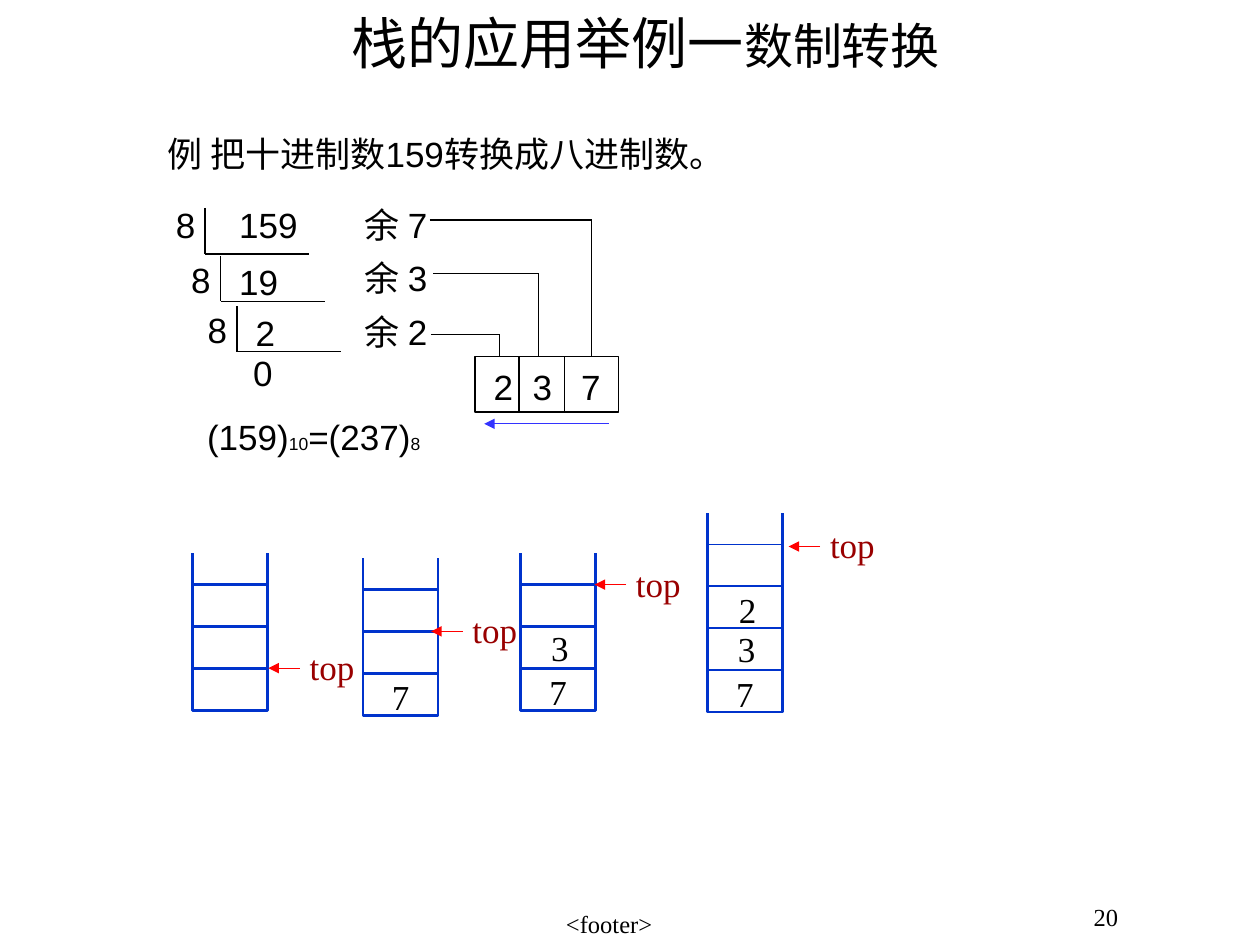
from dataclasses import dataclass

from lxml.etree import SubElement
from pptx import Presentation
from pptx.dml.color import RGBColor
from pptx.enum.shapes import MSO_CONNECTOR as Connector, MSO_SHAPE as Preset
from pptx.enum.text import MSO_ANCHOR as Anchor, MSO_AUTO_SIZE as AutoSize, PP_ALIGN as Align
from pptx.oxml.ns import qn
from pptx.shapes.autoshape import Shape
from pptx.slide import Slide
from pptx.util import Pt

BLACK = RGBColor(0x00, 0x00, 0x00)
WHITE = RGBColor(0xFF, 0xFF, 0xFF)
STACK_BLUE = RGBColor(0x00, 0x33, 0xCC)
ORDER_BLUE = RGBColor(0x33, 0x33, 0xFF)
POINTER_RED = RGBColor(0xFF, 0x00, 0x00)
TOP_RED = RGBColor(0x99, 0x00, 0x00)

SANS, SERIF, HAN = "Arial", "Times New Roman", "Noto Sans CJK SC"
LABEL_HEIGHT = 31.7
DIGIT_WIDTH = 26

RESULT_LEFT, RESULT_TOP, RESULT_WIDTH, RESULT_HEIGHT = 271.5, 203.8, 82, 31.7
CELL_WIDTH, CELL_HEIGHT, CELL_COUNT = 43, 24, 3
# Digit position from the stack's bottom-left corner, lowest digit first
DIGIT_OFFSETS = [(8.5, 26.6), (9.5, 52), (10, 74.4)]


@dataclass
class DivisionStep:
    dividend: str
    remainder: str
    dividend_left: float
    dividend_top: float
    dividend_width: float
    divisor_top: float
    bracket_left: float
    bracket_top: float
    bracket_bottom: float
    wire_left: float
    wire_right: float
    wire_top: float


@dataclass
class Stack:
    left: float
    bottom: float
    rail_top: float
    pointer_x: float
    pointer_y: float
    digits: str = ""


STEPS = [
    DivisionStep("159", "7", 129.6, 112.5, 52, 112.5, 117.2, 118.8, 145.2, 245.5, 338.2, 125.8),
    DivisionStep("19", "3", 129.6, 145.6, 40, 144, 126, 146.2, 172.1, 247.7, 307.6, 156.2),
    DivisionStep("2", "2", 139, 174.2, DIGIT_WIDTH, 172.8, 135.4, 175, 200.9, 246.2, 285.3, 191),
]
STACKS = [
    Stack(110, 406, 316, 153.4, 381.8),
    Stack(207.4, 409, 319, 246.4, 360.8, "7"),
    Stack(297.4, 406, 316, 339.8, 334.1, "73"),
    Stack(404.2, 406.8, 293, 450.7, 312.3, "732"),
]


def add_line(slide: Slide, start: tuple, end: tuple, color: RGBColor = BLACK,
             width: float = 0.75, arrow: bool = False) -> None:
    connector = slide.shapes.add_connector(Connector.STRAIGHT, *map(Pt, start + end))
    connector.line.color.rgb = color
    connector.line.width = Pt(width)
    properties = connector.element.spPr
    if arrow:
        SubElement(properties.find(qn("a:ln")), qn("a:tailEnd"), type="triangle")
    SubElement(properties, qn("a:effectLst"))


def add_text(slide: Slide, runs: list[tuple[str, float]], left: float, top: float,
             width: float, height: float = LABEL_HEIGHT, font: str = SANS,
             color: RGBColor = BLACK, align: Align = Align.LEFT,
             anchor: Anchor = Anchor.TOP) -> Shape:
    box = slide.shapes.add_textbox(Pt(left), Pt(top), Pt(width), Pt(height))
    frame = box.text_frame
    frame.word_wrap = True
    frame.auto_size = AutoSize.NONE
    frame.vertical_anchor = anchor
    paragraph = frame.paragraphs[0]
    paragraph.alignment = align
    paragraph.font.name = font
    paragraph.font.color.rgb = color
    paragraph.font.size = Pt(runs[0][1])
    for text, size in runs:
        run = paragraph.add_run()
        run.text = text
        if size != runs[0][1]:
            run.font.size = Pt(size)
    return box


def add_label(slide: Slide, text: str, left: float, top: float, width: float = DIGIT_WIDTH) -> None:
    add_text(slide, [(text, 20)], left, top, width)


def add_stack_label(slide: Slide, text: str, left: float, top: float,
                    width: float = DIGIT_WIDTH, color: RGBColor = BLACK) -> None:
    add_text(slide, [(text, 20)], left, top, width, font=SERIF, color=color,
             align=Align.CENTER, anchor=Anchor.MIDDLE)


def add_rectangle(slide: Slide, left: float, top: float, width: float, height: float,
                  line_color: RGBColor, line_width: float, filled: bool) -> None:
    shape = slide.shapes.add_shape(Preset.RECTANGLE, Pt(left), Pt(top), Pt(width), Pt(height))
    shape.shadow.inherit = False
    shape.line.color.rgb = line_color
    shape.line.width = Pt(line_width)
    if filled:
        shape.fill.solid()
        shape.fill.fore_color.rgb = WHITE
    else:
        shape.fill.background()


def draw_division_step(slide: Slide, step: DivisionStep, remainder_top: float) -> None:
    corner = (step.bracket_left, step.bracket_bottom)
    add_line(slide, (step.bracket_left, step.bracket_top), corner)
    add_line(slide, corner, (step.bracket_left + 59.5, step.bracket_bottom))
    add_label(slide, "8", step.bracket_left - 23.8, step.divisor_top)
    add_label(slide, step.dividend, step.dividend_left, step.dividend_top, step.dividend_width)
    add_label(slide, f"余 {step.remainder}", 201.4, remainder_top, 60)
    # Wire from the remainder down to its place in the result
    turn = (step.wire_right, step.wire_top)
    add_line(slide, (step.wire_left, step.wire_top), turn)
    add_line(slide, turn, (step.wire_right, RESULT_TOP))


def draw_result(slide: Slide) -> None:
    add_rectangle(slide, RESULT_LEFT, RESULT_TOP, RESULT_WIDTH, RESULT_HEIGHT, BLACK, 0.75, False)
    for x in (296.6, 322.4):
        add_line(slide, (x, RESULT_TOP), (x, RESULT_TOP + RESULT_HEIGHT))
    for digit, left in zip("237", (275, 297.2, 325)):
        add_label(slide, digit, left, 205.2)
    add_line(slide, (347.8, 242.2), (276.7, 242.2), ORDER_BLUE, arrow=True)


def draw_stack(slide: Slide, stack: Stack) -> None:
    for x in (stack.left, stack.left + CELL_WIDTH):
        add_line(slide, (x, stack.bottom), (x, stack.rail_top), STACK_BLUE, 1.5)
    for level in range(1, CELL_COUNT + 1):
        add_rectangle(slide, stack.left, stack.bottom - level * CELL_HEIGHT,
                      CELL_WIDTH, CELL_HEIGHT, STACK_BLUE, 1.5, True)
    for digit, (right, up) in zip(stack.digits, DIGIT_OFFSETS):
        add_stack_label(slide, digit, stack.left + right, stack.bottom - up)
    # Pointer to the top of the stack
    add_line(slide, (stack.pointer_x + 18, stack.pointer_y),
             (stack.pointer_x, stack.pointer_y), POINTER_RED, arrow=True)
    add_stack_label(slide, "top", stack.pointer_x + 14.4, stack.pointer_y - 16.8, 44, TOP_RED)


def main() -> None:
    presentation = Presentation()
    presentation.slide_width, presentation.slide_height = Pt(720), Pt(540)
    slide = presentation.slides.add_slide(presentation.slide_layouts[6])

    # Page number and footer
    number = add_text(slide, [("20", 14)], 617.8, 510, 36, 30, SERIF)
    number.text_frame.paragraphs[0].line_spacing = 1.1
    add_text(slide, [("<footer>", 14)], 234, 516.2, 228.2, 23.8, SERIF, align=Align.CENTER)

    # Title and example
    add_text(slide, [("栈的应用举例一", 32), ("数制转换", 28)], 72, 5.8, 594, 36, HAN,
             align=Align.CENTER, anchor=Anchor.MIDDLE)
    add_label(slide, "例 把十进制数159转换成八进制数。", 88.5, 72, 350)

    # Repeated division and its result
    for index, step in enumerate(STEPS):
        draw_division_step(slide, step, 112.5 + 30.8 * index)
    add_label(slide, "0", 137.5, 197.3)
    draw_result(slide)
    add_text(slide, [("(159)", 20), ("10", 10), ("=(237)", 20), ("8", 10)], 111.2, 234, 145)

    # Stack states
    for stack in STACKS:
        draw_stack(slide, stack)
    last = STACKS[-1]
    add_line(slide, (last.left, 311.2), (last.left + CELL_WIDTH, 311.2), STACK_BLUE)

    presentation.save("out.pptx")


if __name__ == "__main__":
    main()
